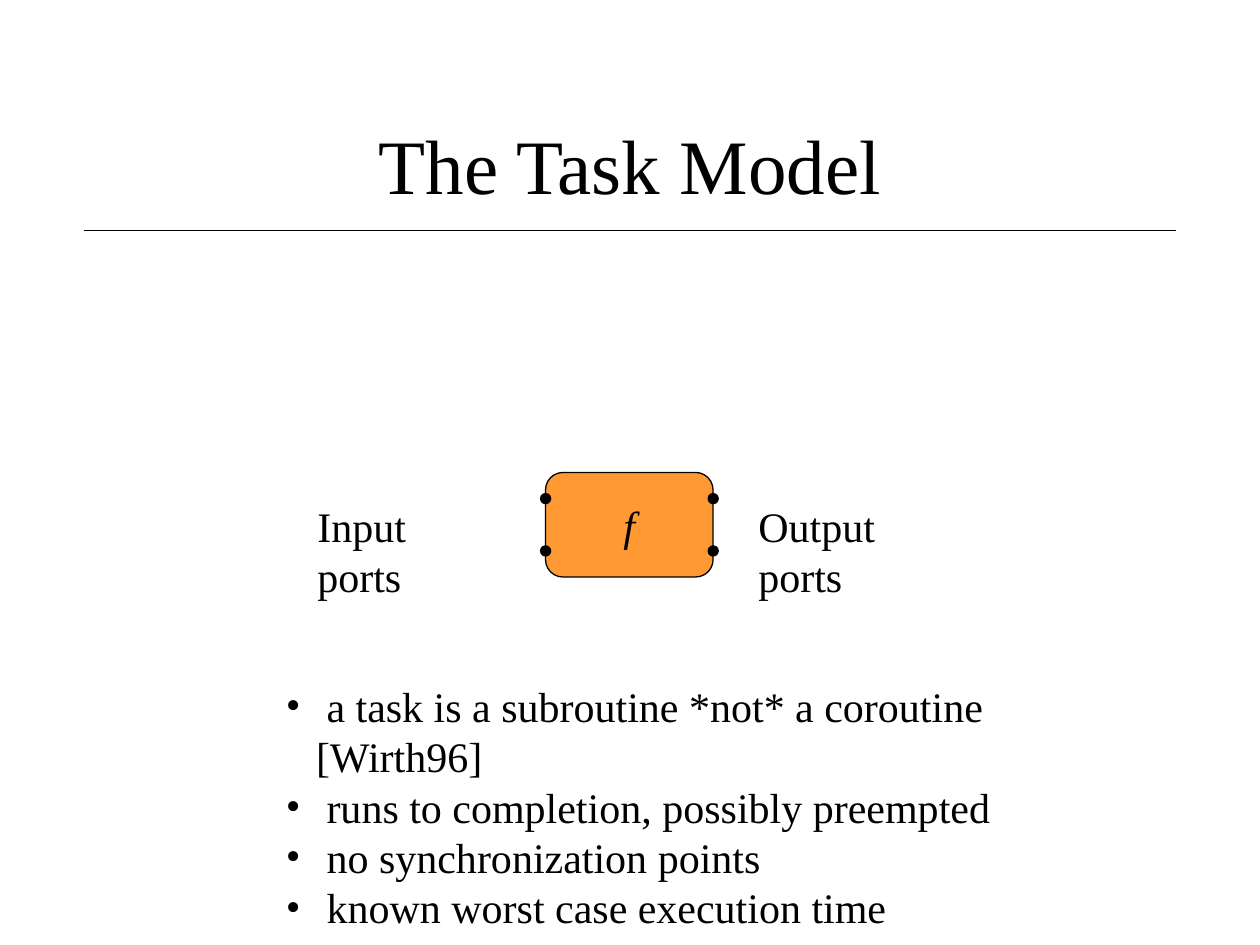
from dataclasses import dataclass
from itertools import product

from lxml import etree
from pptx import Presentation
from pptx.dml.color import RGBColor
from pptx.enum.shapes import MSO_CONNECTOR, MSO_SHAPE
from pptx.enum.text import MSO_ANCHOR, PP_ALIGN
from pptx.oxml.ns import qn
from pptx.util import Inches, Pt

LEFT, CENTER = PP_ALIGN.LEFT, PP_ALIGN.CENTER
TOP, MIDDLE = MSO_ANCHOR.TOP, MSO_ANCHOR.MIDDLE
TASK_SHAPE, PORT_SHAPE = MSO_SHAPE.FLOWCHART_ALTERNATE_PROCESS, MSO_SHAPE.OVAL
STRAIGHT = MSO_CONNECTOR.STRAIGHT


@dataclass(frozen=True)
class Theme:
    font: str = "Times New Roman"
    ink: RGBColor = RGBColor(0x00, 0x00, 0x00)
    task: RGBColor = RGBColor(0xFF, 0x99, 0x33)
    title_size: int = 44
    body_size: int = 24
    line: float = 0.75
    hanging: float = 0.24


THEME = Theme()


def add_bullet(paragraph):
    properties = paragraph._p.get_or_add_pPr()
    hanging = Inches(THEME.hanging)
    properties.set("marL", str(hanging))
    properties.set("indent", str(-hanging))
    color = etree.SubElement(properties, qn("a:buClr"))
    etree.SubElement(color, qn("a:srgbClr"), val=str(THEME.ink))
    etree.SubElement(properties, qn("a:buFont"), typeface=THEME.font)
    etree.SubElement(properties, qn("a:buChar"), char="•")


def write_text(holder, lines, size=THEME.body_size, align=LEFT, anchor=TOP,
               wrap=False, italic=False, bullet=False):
    frame = holder.text_frame
    frame.word_wrap = wrap
    frame.vertical_anchor = anchor
    for index, line in enumerate(lines):
        paragraph = frame.add_paragraph() if index else frame.paragraphs[0]
        paragraph.alignment = align
        if bullet:
            add_bullet(paragraph)
        run = paragraph.add_run()
        run.text = line
        run.font.name = THEME.font
        run.font.size = Pt(size)
        run.font.italic = italic
        run.font.color.rgb = THEME.ink


def add_text(shapes, box, lines, **text_format):
    holder = shapes.add_textbox(*map(Inches, box))
    write_text(holder, lines, **text_format)


def add_node(shapes, preset, box, fill):
    node = shapes.add_shape(preset, *map(Inches, box))
    node.shadow.inherit = False
    node.fill.solid()
    node.fill.fore_color.rgb = fill
    node.line.color.rgb = THEME.ink
    node.line.width = Pt(THEME.line)
    return node


def add_heading(shapes, box, title):
    left, top, width, height = box
    add_text(shapes, box, [title], size=THEME.title_size, align=CENTER,
             anchor=MIDDLE, wrap=True)
    rule_y = Inches(top + height - 0.09)
    rule = shapes.add_connector(STRAIGHT, Inches(left - 0.08), rule_y,
                                Inches(left + width + 0.08), rule_y)
    rule.line.color.rgb = THEME.ink
    rule.line.width = Pt(THEME.line)
    etree.SubElement(rule._element.spPr, qn("a:effectLst"))


def add_task(shapes, box):
    left, top, width, height = box
    label_top = top + 0.17
    add_text(shapes, (left - 1.91, label_top, 1.65, 0.5), ["Input ports"])
    add_text(shapes, (left + width + 0.26, label_top, 1.87, 0.5), ["Output ports"])

    diagram = shapes.add_group_shape().shapes
    task = add_node(diagram, TASK_SHAPE, box, THEME.task)
    write_text(task, ["f"], align=CENTER, anchor=MIDDLE, italic=True)
    port = 0.08
    for x, y in product((left, left + width),
                        (top + height / 4, top + height * 3 / 4)):
        add_node(diagram, PORT_SHAPE,
                 (x - port / 2, y - port / 2, port, port), THEME.ink)


def add_properties(shapes, box):
    add_text(shapes, box, [
        " a task is a subroutine *not* a coroutine [Wirth96]",
        " runs to completion, possibly preempted",
        " no synchronization points",
        " known worst case execution time",
    ], wrap=True, bullet=True)


def main():
    presentation = Presentation()
    presentation.slide_width = Inches(10)
    presentation.slide_height = Inches(7.5)
    shapes = presentation.slides.add_slide(presentation.slide_layouts[6]).shapes
    add_heading(shapes, (0.75, 0.67, 8.5, 1.25), "The Task Model")
    add_task(shapes, (4.33, 3.75, 1.33, 0.83))
    add_properties(shapes, (2.17, 5.35, 7.03, 1.7))
    presentation.save("out.pptx")


if __name__ == "__main__":
    main()
